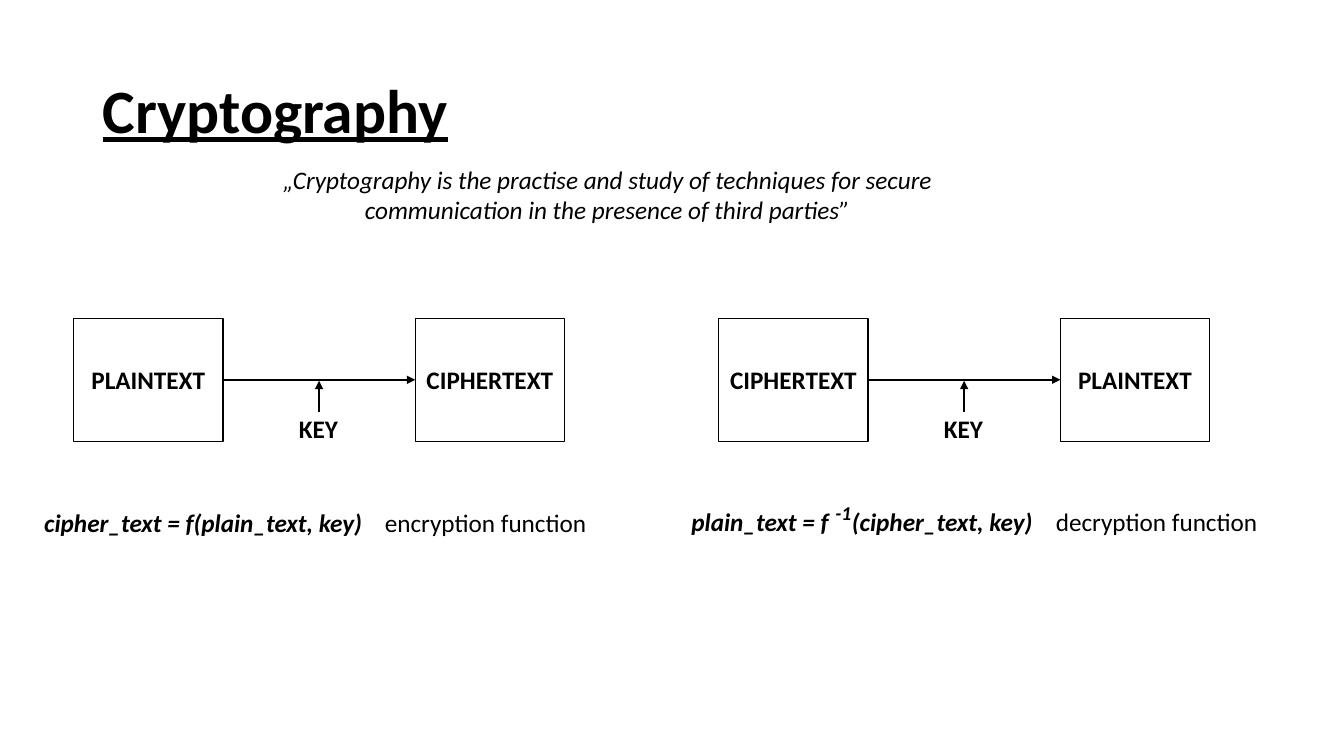
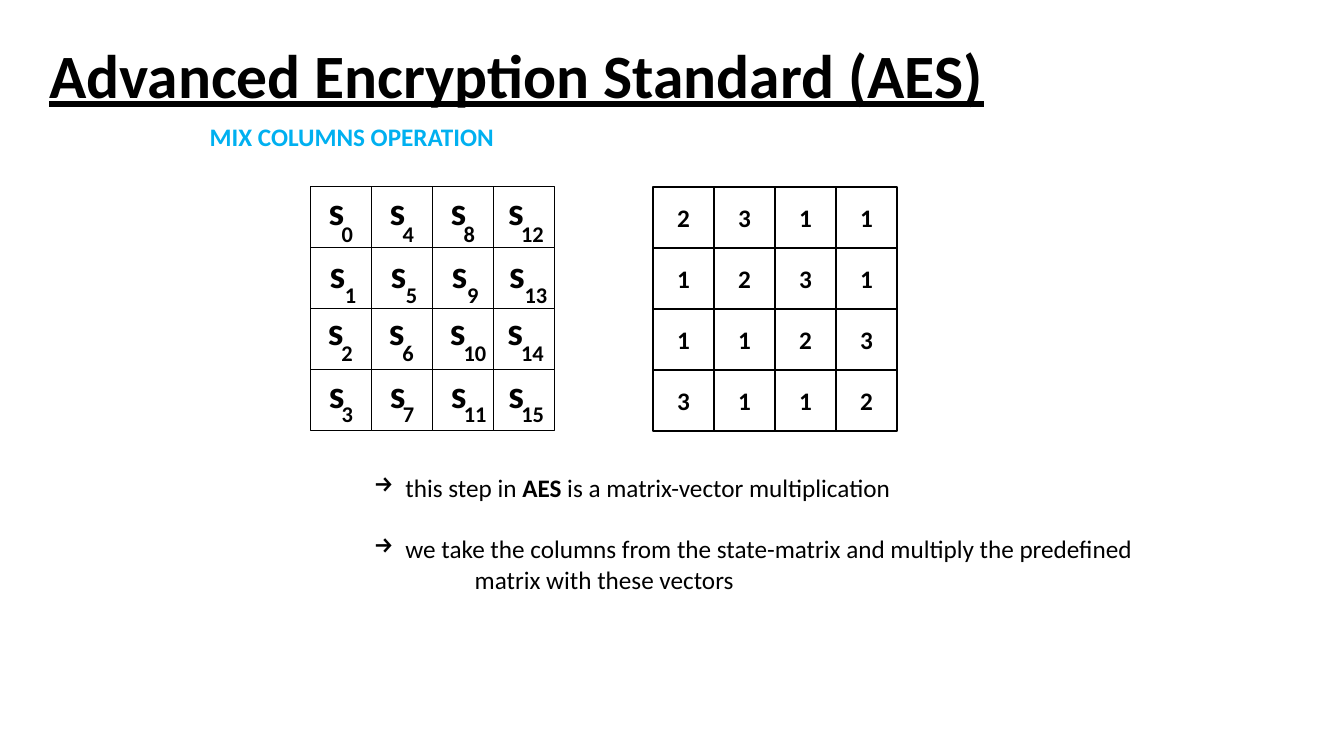
"""Build two slides on cryptography and the AES mix-columns step."""
from dataclasses import dataclass
from typing import Optional

from lxml import etree
from pptx import Presentation
from pptx.dml.color import RGBColor
from pptx.enum import shapes, text
from pptx.oxml import ns
from pptx.util import Pt

FONT = "Calibri"
COLORS = {"ink": "000000", "paper": "FFFFFF", "accent": "00B0F0"}
CELL = 43.6
LAST_COLUMN_SHIFT = -2.5
BOX_W, BOX_H, BOX_GAP, BOX_TOP = 106.6, 88, 137.4, 227.3
MATRIX = ((2, 3, 1, 1), (1, 2, 3, 1), (1, 1, 2, 3), (3, 1, 1, 2))
CENTER = text.PP_ALIGN.CENTER


@dataclass(frozen=True)
class Run:
    text: str
    bold: bool = False
    italic: bool = False
    underline: bool = False
    size: float = 18
    color: str = "ink"


@dataclass(frozen=True)
class Para:
    runs: tuple[Run, ...]
    align: Optional[text.PP_ALIGN] = None
    before: float = 0
    margin: float = 0
    bullet: str = ""
    spacing: float = 1


@dataclass(frozen=True)
class Flow:
    left: float
    source: str
    target: str


@dataclass(frozen=True)
class Piece:
    left: float
    top: float
    width: float
    run: Run


@dataclass(frozen=True)
class RowMark:
    letter: tuple[float, float]
    digit: tuple[float, float]


FLOWS = (Flow(52.6, "PLAINTEXT", "CIPHERTEXT"),
         Flow(513.4, "CIPHERTEXT", "PLAINTEXT"))
FORMULA_PIECES = (
    Piece(24.5, 358.6, 244,
          Run("cipher_text = f(plain_text, key)", bold=True, italic=True)),
    Piece(267.8, 358.6, 165, Run("encryption function")),
    Piece(486.7, 358, 118, Run("plain_text = f", bold=True, italic=True)),
    Piece(589.7, 354.2, 40, Run("-1", bold=True, italic=True, size=14)),
    Piece(601.4, 358, 150, Run("(cipher_text, key)", bold=True, italic=True)),
    Piece(747.1, 358, 165, Run("decryption function")))
ROW_MARKS = (RowMark((5.8, -3.6), (15.1, 20.5)),
             RowMark((6.5, -2.2), (17.5, 20.5)),
             RowMark((5.3, -4.8), (15, 18.5)),
             RowMark((6, -3.8), (15.2, 18)))


def rgb(name: str) -> RGBColor:
    return RGBColor.from_string(COLORS[name])


def set_layout(p, para: Para) -> None:
    pPr = p._p.get_or_add_pPr()
    pPr.set("marL", str(Pt(para.margin)))
    pPr.set("indent", str(Pt(-para.margin if para.bullet else 0)))
    if para.bullet:
        bullet = etree.SubElement(pPr, ns.qn("a:buChar"))
        bullet.set("char", para.bullet)
    p.alignment = para.align
    if para.before:
        p.space_before = Pt(para.before)
    if para.spacing != 1:
        p.line_spacing = para.spacing


def write(tf, *paras: Para) -> None:
    tf.word_wrap = True
    for i, para in enumerate(paras):
        p = tf.add_paragraph() if i else tf.paragraphs[0]
        set_layout(p, para)
        for run in para.runs:
            r = p.add_run()
            r.text = run.text
            font = r.font
            font.name, font.size = FONT, Pt(run.size)
            font.bold, font.italic = run.bold, run.italic
            font.underline = run.underline
            font.color.rgb = rgb(run.color)


def add_text(s, left: float, top: float, width: float, height: float,
             *paras: Para):
    sp = s.shapes.add_textbox(Pt(left), Pt(top), Pt(width), Pt(height))
    write(sp.text_frame, *paras)
    return sp


def add_title(s, left: float, top: float, title: str) -> None:
    run = Run(title, bold=True, underline=True, size=44)
    sp = add_text(s, left, top, 828, 104.4, Para((run,), spacing=0.9))
    sp.text_frame.vertical_anchor = text.MSO_ANCHOR.MIDDLE


def add_box(s, left: float, top: float, width: float, height: float,
            label: str = ""):
    sp = s.shapes.add_shape(shapes.MSO_SHAPE.RECTANGLE, Pt(left), Pt(top),
                            Pt(width), Pt(height))
    sp.shadow.inherit = False
    sp.fill.solid()
    sp.fill.fore_color.rgb = rgb("paper")
    sp.line.color.rgb = rgb("ink")
    sp.line.width = Pt(1)
    if label:
        tf = sp.text_frame
        tf.margin_left = tf.margin_right = 0
        tf.vertical_anchor = text.MSO_ANCHOR.MIDDLE
        write(tf, Para((Run(label, bold=True),), align=CENTER))
    return sp


def add_arrow(s, x1: float, y1: float, x2: float, y2: float):
    line = s.shapes.add_connector(shapes.MSO_CONNECTOR.STRAIGHT,
                                  Pt(x1), Pt(y1), Pt(x2), Pt(y2))
    line.line.color.rgb = rgb("ink")
    line.line.width = Pt(1.5)
    tail = etree.SubElement(line.line._get_or_add_ln(), ns.qn("a:tailEnd"))
    tail.set("type", "triangle")
    etree.SubElement(line._element.spPr, ns.qn("a:effectLst"))
    return line


def add_flow(s, flow: Flow) -> None:
    start = flow.left + BOX_W
    end = start + BOX_GAP
    mid_x, mid_y = (start + end) / 2, BOX_TOP + BOX_H / 2
    source = add_box(s, flow.left, BOX_TOP, BOX_W, BOX_H, flow.source)
    target = add_box(s, end, BOX_TOP, BOX_W, BOX_H, flow.target)
    line = add_arrow(s, start, mid_y, end, mid_y)
    line.begin_connect(source, 3)
    line.end_connect(target, 1)
    add_arrow(s, mid_x, mid_y + 23, mid_x, mid_y + 0.7)
    add_text(s, mid_x - 30.5, 291.6, 60, 29,
             Para((Run("KEY", bold=True),), align=CENTER))


def add_state(s, left: float, top: float) -> None:
    cells = [(row, col, left + col * CELL, top + row * CELL)
             for row in range(4) for col in range(4)]
    for _, _, x, y in cells:
        add_box(s, x, y, CELL, CELL)
    for row, col, x, y in cells:
        mark = ROW_MARKS[row]
        shift = LAST_COLUMN_SHIFT if col == 3 else 0
        for label, size, (dx, dy) in (("s", 28, mark.letter),
                                      (str(row + 4 * col), 16, mark.digit)):
            add_text(s, x + dx + shift, y + dy, 40, 1.45 * size,
                     Para((Run(label, bold=True, size=size),)))


def add_matrix(s, left: float, top: float) -> None:
    for row, values in enumerate(MATRIX):
        for col, value in enumerate(values):
            add_box(s, left + col * CELL, top + row * CELL, CELL, CELL,
                    str(value))


def build_cryptography(s) -> None:
    add_title(s, 66.2, 28.8, "Cryptography")
    quote = ("„Cryptography is the practise and study of techniques for secure",
             "communication in the presence of third parties”")
    add_text(s, 188, 113.8, 492, 51,
             *(Para((Run(line, italic=True),), align=CENTER)
               for line in quote))
    for flow in FLOWS:
        add_flow(s, flow)
    for piece in FORMULA_PIECES:
        add_text(s, piece.left, piece.top, piece.width, 29,
                 Para((piece.run,)))


def build_aes(s) -> None:
    add_title(s, 28.1, 3.6, "Advanced Encryption Standard (AES)")
    add_text(s, 142.6, 82.8, 240, 29,
             Para((Run("MIX COLUMNS OPERATION", bold=True, color="accent"),)))
    add_state(s, 221.8, 133.2)
    add_matrix(s, 466.4, 133.6)
    add_text(
        s, 260, 334.1, 580, 138,
        Para((Run("this step in "), Run("AES", bold=True),
              Run(" is a matrix-vector multiplication")),
             margin=22.5, bullet="→"),
        Para((Run("we take the columns from the state-matrix and multiply "
                  "the predefined"),), before=22, margin=22.5, bullet="→"),
        Para((Run("matrix with these vectors"),), margin=72))


def main() -> None:
    prs = Presentation()
    prs.slide_width, prs.slide_height = Pt(960), Pt(540)
    for build in (build_cryptography, build_aes):
        build(prs.slides.add_slide(prs.slide_layouts[6]))
    prs.save("out.pptx")


if __name__ == "__main__":
    main()
